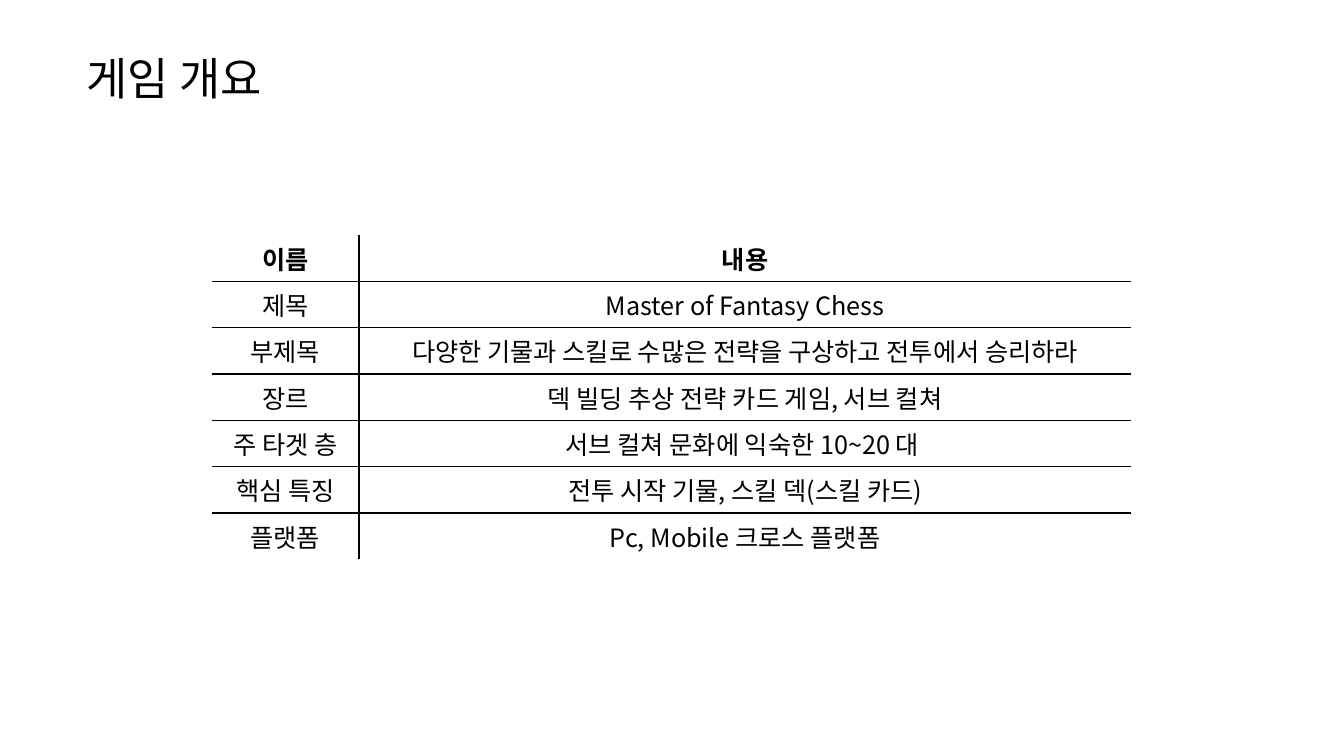
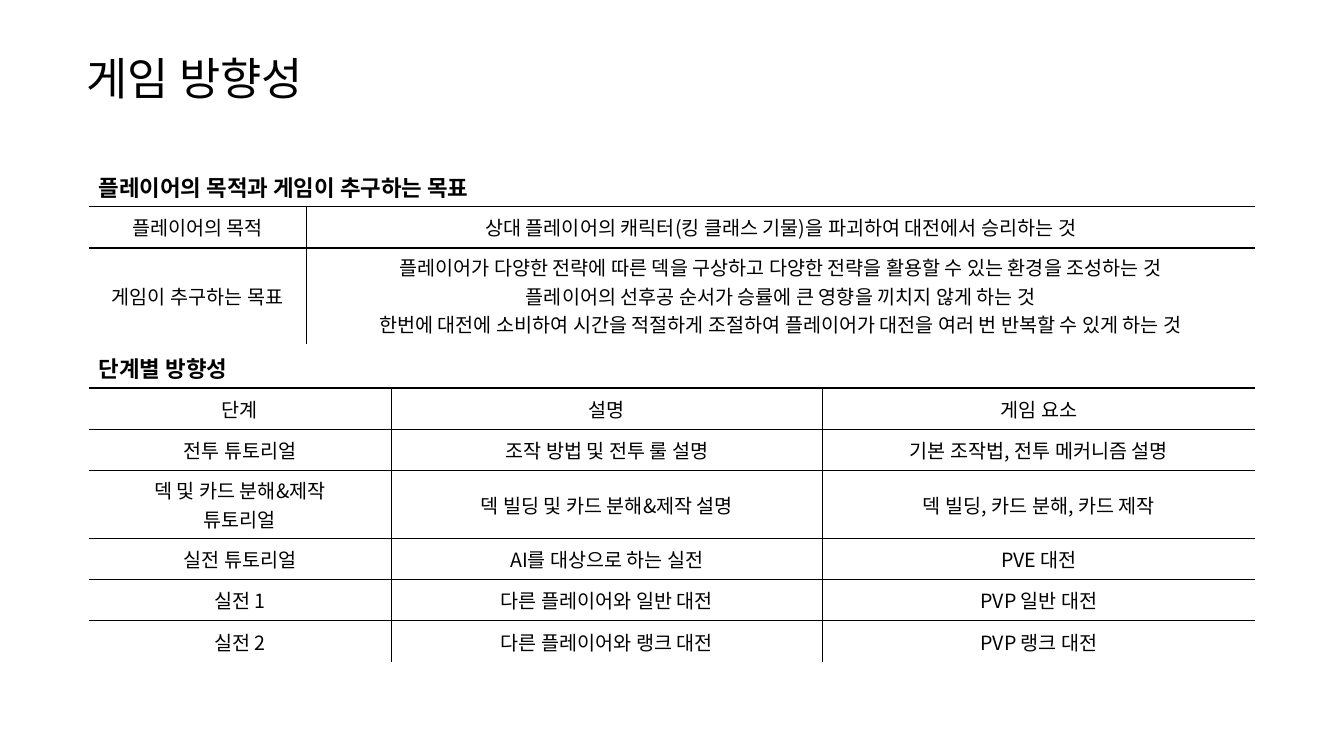
from lxml import etree
from pptx import Presentation
from pptx.dml.color import RGBColor
from pptx.enum.text import MSO_ANCHOR as Anchor, PP_ALIGN as Align
from pptx.oxml.ns import qn
from pptx.util import Inches, Pt

BLACK = RGBColor(0, 0, 0)
FONT = "Noto Sans CJK KR"


def add_text(paragraph, text, size, bold=False):
    run = paragraph.add_run()
    run.text = text
    run.font.name = FONT
    run.font.size = Pt(size)
    run.font.bold = bold
    run.font.color.rgb = BLACK
    properties = run.font._element
    properties.set("kern", "0")
    east_asian = etree.SubElement(properties, qn("a:ea"))
    east_asian.set("typeface", FONT)


def set_borders(cell, edges):
    properties = cell._tc.get_or_add_tcPr()
    for side, visible in edges.items():
        line = etree.SubElement(properties, qn(f"a:ln{side}"))
        if visible:
            line.set("w", str(Pt(1)))
            fill = etree.SubElement(line, qn("a:solidFill"))
            etree.SubElement(fill, qn("a:srgbClr")).set("val", str(BLACK))
        else:
            etree.SubElement(line, qn("a:noFill"))


overview_rows = [
    ["이름", "내용"],
    ["제목", "Master of Fantasy Chess"],
    ["부제목", "다양한 기물과 스킬로 수많은 전략을 구상하고 전투에서 승리하라"],
    ["장르", "덱 빌딩 추상 전략 카드 게임, 서브 컬쳐"],
    ["주 타겟 층", "서브 컬쳐 문화에 익숙한 10~20 대 "],
    ["핵심 특징", "전투 시작 기물, 스킬 덱(스킬 카드)"],
    ["플랫폼", "Pc, Mobile 크로스 플랫폼"],
]
goal_rows = [
    ["플레이어의 목적과 게임이 추구하는 목표"],
    ["플레이어의 목적", "상대 플레이어의 캐릭터(킹 클래스 기물)을 파괴하여 대전에서 승리하는 것"],
    ["게임이 추구하는 목표",
     "플레이어가 다양한 전략에 따른 덱을 구상하고 다양한 전략을 활용할 수 있는 환경을 조성하는 것\n"
     "플레이어의 선후공 순서가 승률에 큰 영향을 끼치지 않게 하는 것\n"
     "한번에 대전에 소비하여 시간을 적절하게 조절하여 플레이어가 대전을 여러 번 반복할 수 있게 하는 것"],
]
stage_rows = [
    ["단계별 방향성"],
    ["단계", "설명", "게임 요소"],
    ["전투 튜토리얼", "조작 방법 및 전투 룰 설명", "기본 조작법, 전투 메커니즘 설명"],
    ["덱 및 카드 분해&제작\n튜토리얼", "덱 빌딩 및 카드 분해&제작 설명", "덱 빌딩, 카드 분해, 카드 제작"],
    ["실전 튜토리얼", "AI를 대상으로 하는 실전", "PVE 대전"],
    ["실전 1", "다른 플레이어와 일반 대전", "PVP 일반 대전"],
    ["실전 2", "다른 플레이어와 랭크 대전", "PVP 랭크 대전"],
]
overview_heights = [0.46] * 7
goal_heights = [0.41, 0.41, 0.95]
stage_heights = [0.41] * 3 + [0.67] + [0.41] * 3

slides = [
    ("게임 개요", [(2.1, 2.33, [1.46, 7.66], overview_heights, 18, 18, overview_rows)]),
    ("게임 방향성", [
        (0.88, 1.64, [2.16, 9.41], goal_heights, 16, 14, goal_rows),
        (0.88, 3.44, [3, 4.28, 4.29], stage_heights, 16, 14, stage_rows),
    ]),
]

presentation = Presentation()
presentation.slide_width = Inches(13.33)
presentation.slide_height = Inches(7.5)

for title, tables in slides:
    slide = presentation.slides.add_slide(presentation.slide_layouts[6])
    title_box = slide.shapes.add_textbox(Inches(0.76), Inches(0.42), Inches(11.81), Inches(0.69))
    title_box.text_frame.word_wrap = True
    title_box.text_frame.vertical_anchor = Anchor.MIDDLE
    add_text(title_box.text_frame.paragraphs[0], title, 32)

    for left, top, widths, heights, header_size, body_size, rows in tables:
        last_row, last_column = len(rows) - 1, len(widths) - 1
        table = slide.shapes.add_table(
            len(rows), len(widths), Inches(left), Inches(top),
            Inches(sum(widths)), Inches(sum(heights))).table
        table.first_row = False
        table.horz_banding = False
        for column, width in zip(table.columns, widths):
            column.width = Inches(width)
        for row, height in zip(table.rows, heights):
            row.height = Inches(height)

        has_heading = len(rows[0]) == 1
        if has_heading:
            table.cell(0, 0).merge(table.cell(0, last_column))

        for row_index, texts in enumerate(rows):
            is_header = row_index == 0
            is_heading = is_header and has_heading
            for column_index in range(len(widths)):
                cell = table.cell(row_index, column_index)
                set_borders(cell, {
                    "L": column_index > 0 and not is_heading,
                    "R": column_index < last_column and not is_heading,
                    "T": row_index > 0,
                    "B": row_index < last_row,
                })
                cell.fill.background()
                cell.vertical_anchor = Anchor.MIDDLE
                if column_index >= len(texts):
                    continue
                for line_index, text in enumerate(texts[column_index].split("\n")):
                    frame = cell.text_frame
                    paragraph = frame.add_paragraph() if line_index else frame.paragraphs[0]
                    paragraph.alignment = Align.LEFT if is_heading else Align.CENTER
                    add_text(paragraph, text, header_size if is_header else body_size, is_header)

presentation.save("out.pptx")
